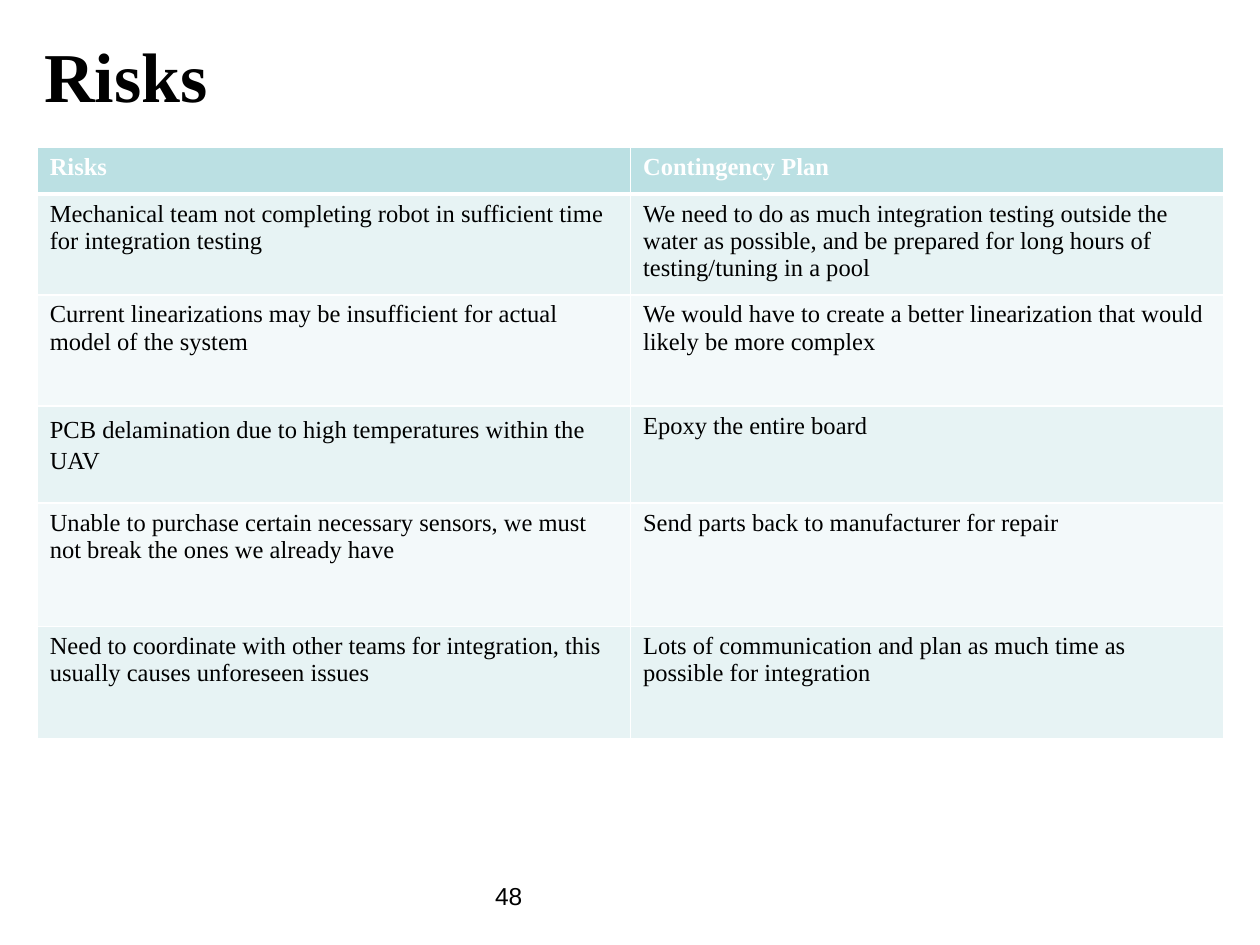
from dataclasses import dataclass

from lxml.etree import SubElement
from pptx import Presentation
from pptx.dml.color import RGBColor
from pptx.enum.text import MSO_ANCHOR, MSO_AUTO_SIZE, PP_ALIGN
from pptx.oxml.ns import qn
from pptx.util import Cm, Pt


@dataclass(frozen=True)
class Theme:
    ink: str = "000000"
    paper: str = "FFFFFF"
    header_fill: str = "BBE0E3"
    band_fills: tuple = ("E7F3F4", "F3F9FA")
    serif: str = "Times New Roman"
    sans: str = "Arial"
    title_size: int = 40
    body_size: int = 14
    rule: int = 1
    header_rule: int = 3


THEME = Theme()

RISKS = [
    ("Risks", "Contingency Plan"),
    ("Mechanical team not completing robot in sufficient time for integration testing",
     "We need to do as much integration testing outside the water as possible, "
     "and be prepared for long hours of testing/tuning in a pool"),
    ("Current linearizations may be insufficient for actual model of the system",
     "We would have to create a better linearization that would likely be more complex"),
    ("PCB delamination due to high temperatures within the UAV",
     "Epoxy the entire board"),
    ("Unable to purchase certain necessary sensors, we must not break the ones we already have",
     "Send parts back to manufacturer for repair"),
    ("Need to coordinate with other teams for integration, this usually causes unforeseen issues",
     "Lots of communication and plan as much time as possible for integration"),
]
ROW_HEIGHTS = (0.94, 1.45, 2.24, 1.96, 2.49, 2.26)
LOOSE_CELL = (3, 0)  # the one entry with wider line spacing


def set_attributes(target, values):
    for name, value in values.items():
        setattr(target, name, value)


def write(frame, text, size, font=THEME.serif, color=THEME.ink, bold=False):
    paragraph = frame.paragraphs[0]
    paragraph.alignment = PP_ALIGN.LEFT
    run = paragraph.add_run()
    run.text = text
    set_attributes(run.font, {"name": font, "size": Pt(size), "bold": bold})
    run.font.color.rgb = RGBColor.from_string(color)
    return paragraph


def place(part, box):
    set_attributes(part, dict(zip(("left", "top", "width", "height"), map(Cm, box))))


def add_title(slide, box):
    title = slide.shapes.title
    place(title, box)
    inset = Cm(0.25)
    set_attributes(title.text_frame, {
        "word_wrap": True, "auto_size": MSO_AUTO_SIZE.NONE,
        "vertical_anchor": MSO_ANCHOR.TOP,
        "margin_left": inset, "margin_top": inset,
        "margin_right": inset, "margin_bottom": inset,
    })
    write(title.text_frame, "Risks", THEME.title_size, bold=True)


def add_page_number(slide, box):
    page_number = slide.shapes.add_textbox(*map(Cm, box))
    page_number.text_frame.word_wrap = True
    write(page_number.text_frame, "48", THEME.body_size, font=THEME.sans)


def add_borders(cell, widths):
    properties = cell._tc.get_or_add_tcPr()
    for side, width in widths.items():
        line = SubElement(properties, qn(f"a:ln{side}"), w=str(Pt(width)))
        fill = SubElement(line, qn("a:solidFill"))
        SubElement(fill, qn("a:srgbClr"), val=THEME.paper)


def format_cell(cell, text, row):
    is_header = row == 0
    # Borders come before the fill in the cell properties
    add_borders(cell, {
        "L": THEME.rule, "R": THEME.rule,
        "T": THEME.header_rule if row == 1 else THEME.rule,
        "B": THEME.header_rule if is_header else THEME.rule,
    })
    cell.fill.solid()
    cell.fill.fore_color.rgb = RGBColor.from_string(
        THEME.header_fill if is_header else THEME.band_fills[(row - 1) % 2])
    return write(cell.text_frame, text, THEME.body_size,
                 color=THEME.paper if is_header else THEME.ink, bold=is_header)


def add_risk_table(slide, box):
    left, top, width = box
    columns = len(RISKS[0])
    risk_table = slide.shapes.add_table(
        len(RISKS), columns, Cm(left), Cm(top), Cm(width), Cm(sum(ROW_HEIGHTS))).table
    for column in risk_table.columns:
        column.width = Cm(width / columns)
    for row, (entries, height) in enumerate(zip(RISKS, ROW_HEIGHTS)):
        risk_table.rows[row].height = Cm(height)
        for column, text in enumerate(entries):
            paragraph = format_cell(risk_table.cell(row, column), text, row)
            if (row, column) == LOOSE_CELL:
                paragraph.line_spacing = 1.15


def main():
    deck = Presentation()
    set_attributes(deck, {"slide_width": Cm(25.4), "slide_height": Cm(19.05)})
    slide = deck.slides.add_slide(deck.slide_layouts.get_by_name("Title Only"))
    add_title(slide, (0.64, 0.41, 21.59, 3.78))
    add_page_number(slide, (9.73, 17.63, 5.92, 1.32))
    add_risk_table(slide, (0.75, 2.97, 23.92))
    deck.save("out.pptx")


if __name__ == "__main__":
    main()
